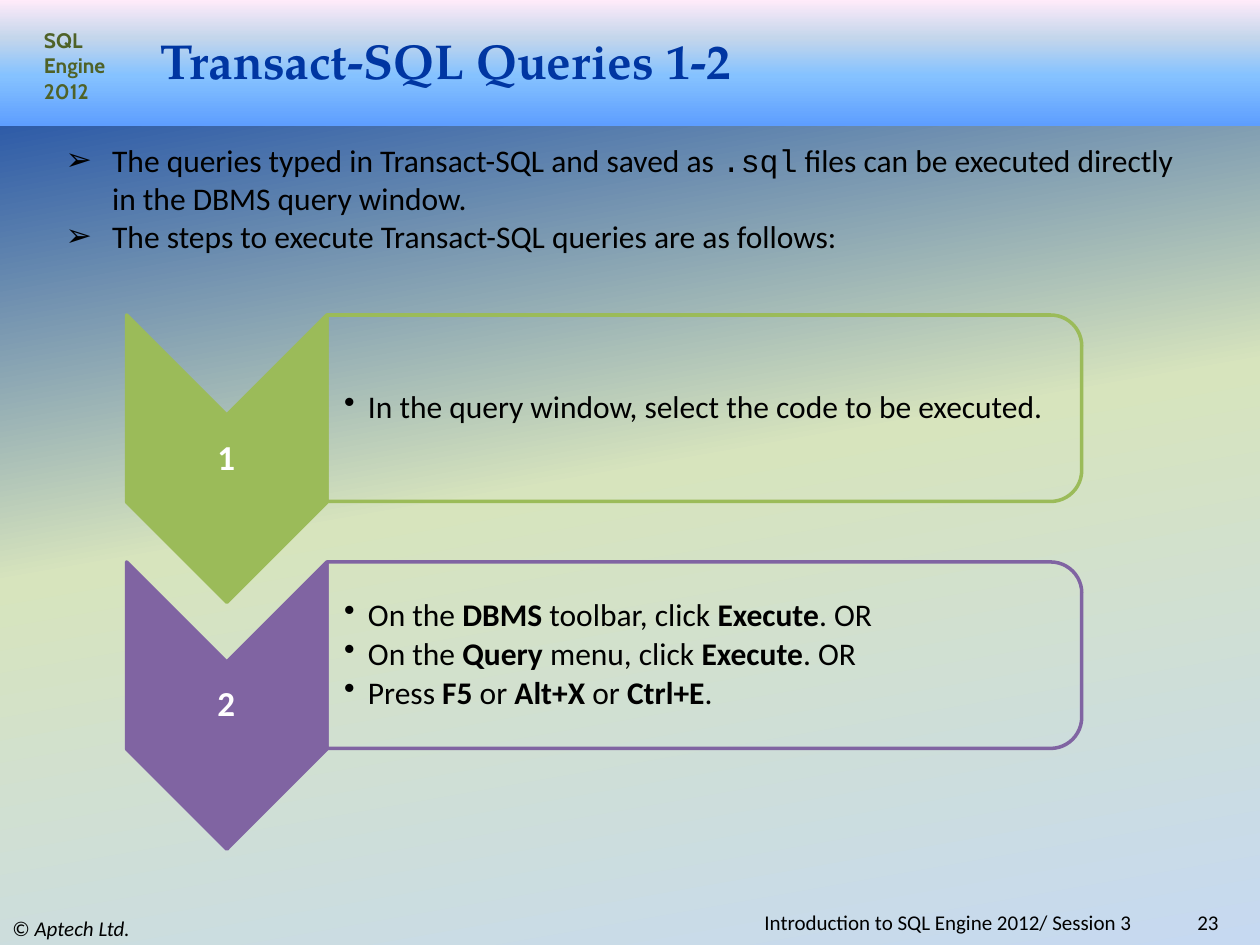
from dataclasses import dataclass

from lxml import etree
from pptx import Presentation
from pptx.dml.color import RGBColor
from pptx.enum.shapes import MSO_SHAPE
from pptx.enum.text import MSO_ANCHOR, MSO_AUTO_SIZE, PP_ALIGN
from pptx.oxml.ns import qn
from pptx.util import Inches, Pt

LEFT, CENTER, RIGHT = PP_ALIGN.LEFT, PP_ALIGN.CENTER, PP_ALIGN.RIGHT
TOP, MIDDLE = MSO_ANCHOR.TOP, MSO_ANCHOR.MIDDLE
NO_AUTOFIT = MSO_AUTO_SIZE.NONE
RECTANGLE, CHEVRON = MSO_SHAPE.RECTANGLE, MSO_SHAPE.CHEVRON
PANEL = MSO_SHAPE.ROUND_2_SAME_RECTANGLE


@dataclass(frozen=True)
class Theme:
    ink: str = "000000"
    white: str = "FFFFFF"
    navy: str = "0036A2"
    olive: str = "4F6228"
    green: str = "9BBB59"
    purple: str = "8064A2"
    backdrop: tuple = ((0, "0036A2"), (50, "D7E4BD"), (100, "C6D9F1"))
    band: tuple = ((0, "5E9EFF"), (40, "85C2FF"), (70, "C4D6EB"), (100, "FFEBFA"))
    text_font: str = "Calibri"
    title_font: str = "TeX Gyre Pagella"
    course_font: str = "Cabin"
    code_font: str = "Courier New"
    title_size: int = 28
    number_size: int = 20
    body_size: int = 18
    small_size: int = 12


THEME = Theme()
BOLD, ITALIC, CODE = {"bold": True}, {"italic": True}, {"name": THEME.code_font}

INTRO = [
    "The queries typed in Transact-SQL and saved as *.sql* files can be executed "
    "directly in the DBMS query window.",
    "The steps to execute Transact-SQL queries are as follows:",
]
STEPS = [
    (THEME.green, ["In the query window, select the code to be executed."]),
    (THEME.purple, [
        "On the *DBMS* toolbar, click *Execute*. OR",
        "On the *Query *menu, click *Execute*. OR",
        "Press *F5* or *Alt+X* or *Ctrl+E*.",
    ]),
]
FIRST_STEP_TOP, STEP_PITCH = 2.5, 1.96


def rgb(color):
    return RGBColor.from_string(color)


def set_gradient(fill, element, stops, angle):
    """Fill with (percent, colour) stops; angle is counter-clockwise."""
    fill.gradient()
    fill.gradient_angle = angle
    stop_list = next(element.iter(qn("a:gsLst")))
    for old_stop in list(stop_list):
        stop_list.remove(old_stop)
    for percent, color in stops:
        stop = etree.SubElement(stop_list, qn("a:gs"), pos=str(percent * 1000))
        etree.SubElement(stop, qn("a:srgbClr"), val=color)


def add_bullet(para, symbol, indent):
    properties = para._p.get_or_add_pPr()
    properties.set("marL", str(Inches(indent)))
    properties.set("indent", str(Inches(-indent)))
    etree.SubElement(properties, qn("a:buChar"), char=symbol)


def write(frame, lines, color=THEME.ink, emphasis=BOLD, bullet=None,
          para_format=None, **font_format):
    """Write one paragraph a line; text between asterisks takes the emphasis."""
    base = {"name": THEME.text_font, "size": THEME.body_size, **font_format}
    for index, line in enumerate(lines):
        para = frame.add_paragraph() if index else frame.paragraphs[0]
        if bullet:
            add_bullet(para, *bullet)
        for name, value in (para_format or {}).items():
            setattr(para, name, value)
        for position, piece in enumerate(line.split("*")):
            if not piece:
                continue
            span = para.add_run()
            span.text = piece
            span.font.color.rgb = rgb(color)
            for name, value in {**base, **(emphasis if position % 2 else {})}.items():
                setattr(span.font, name, Pt(value) if name == "size" else value)


def place(shape, left, top, width, height):
    bounds = {"left": left, "top": top, "width": width, "height": height}
    for name, value in bounds.items():
        setattr(shape, name, Inches(value))


def set_frame(frame, anchor, margins=(0.1, 0.05, 0.1, 0.05)):
    frame.word_wrap = True
    frame.auto_size = NO_AUTOFIT
    frame.vertical_anchor = anchor
    for side, value in zip(("left", "top", "right", "bottom"), margins):
        setattr(frame, f"margin_{side}", Inches(value))
    return frame


def add_text(page, bounds, lines, anchor=MIDDLE, margins=(0.1, 0.05, 0.1, 0.05),
             **text_format):
    box = page.shapes.add_textbox(*map(Inches, bounds))
    write(set_frame(box.text_frame, anchor, margins), lines, **text_format)


def add_turned_shape(page, kind, center_x, center_y, width, height, color, filled):
    """Add a shape around a centre, turned a quarter clockwise."""
    shape = page.shapes.add_shape(
        kind, Inches(center_x - width / 2), Inches(center_y - height / 2),
        Inches(width), Inches(height))
    shape.rotation = 90
    shape.shadow.inherit = False
    if filled:
        shape.fill.solid()
        shape.fill.fore_color.rgb = rgb(color)
    else:
        shape.fill.background()
    shape.line.color.rgb = rgb(color)
    shape.line.width = Pt(2)


def add_band(page):
    band = page.shapes.add_shape(RECTANGLE, 0, 0, Inches(10), Inches(1))
    band.shadow.inherit = False
    band.line.fill.background()
    set_gradient(band.fill, band._element, THEME.band, 90)
    page.shapes._spTree.insert(2, band._element)  # behind the placeholders


def add_step(page, number, top, color, lines):
    add_turned_shape(page, CHEVRON, 1.8, top + 1.14, 2.28, 1.59, color, True)
    add_text(page, (1, top + 0.8, 1.59, 0.68), [str(number)], margins=(0.01,) * 4,
             color=THEME.white, size=THEME.number_size, bold=True,
             para_format={"alignment": CENTER, "line_spacing": 0.9})
    add_turned_shape(page, PANEL, 5.59, top + 0.74, 1.48, 5.99, color, False)
    add_text(page, (2.59, top + 0.07, 5.92, 1.34), lines,
             margins=(0.14, 0.01, 0.01, 0.01), bullet=("•", 0.19),
             para_format={"line_spacing": 0.9, "space_after": Pt(2.7)})


def add_margin_texts(page):
    small = {"size": THEME.small_size}
    right = {"alignment": RIGHT}
    add_text(page, (0, 7.23, 3.33, 0.27), ["© *Aptech Ltd.*"], emphasis=ITALIC, **small)
    add_text(page, (0.25, 0.17, 0.75, 0.71), ["SQL Engine 2012"], anchor=TOP,
             color=THEME.olive, name=THEME.course_font, bold=True, **small)
    add_text(page, (8.92, 7.23, 0.85, 0.18), ["23"], para_format=right, **small)
    add_text(page, (2.5, 7.23, 6.58, 0.18),
             ["Introduction to SQL Engine 2012/ Session 3"], para_format=right, **small)


def main():
    deck = Presentation()
    deck.slide_width, deck.slide_height = Inches(10), Inches(7.5)
    page = deck.slides.add_slide(deck.slide_layouts[1])
    set_gradient(page.background.fill, page._element, THEME.backdrop, 280)
    add_band(page)

    title, body = page.placeholders
    place(title, 1.17, 0.25, 8.33, 0.45)
    write(set_frame(title.text_frame, MIDDLE), ["Transact-SQL Queries 1-2"],
          color=THEME.navy, name=THEME.title_font, size=THEME.title_size, bold=True,
          para_format={"alignment": LEFT})
    place(body, 0.42, 1.07, 9.17, 1.01)
    write(set_frame(body.text_frame, TOP), INTRO, emphasis=CODE, bullet=("➢", 0.37),
          para_format={"space_before": Pt(0)})

    for index, (color, lines) in enumerate(STEPS):
        add_step(page, index + 1, FIRST_STEP_TOP + index * STEP_PITCH, color, lines)
    add_margin_texts(page)
    deck.save("out.pptx")


if __name__ == "__main__":
    main()
